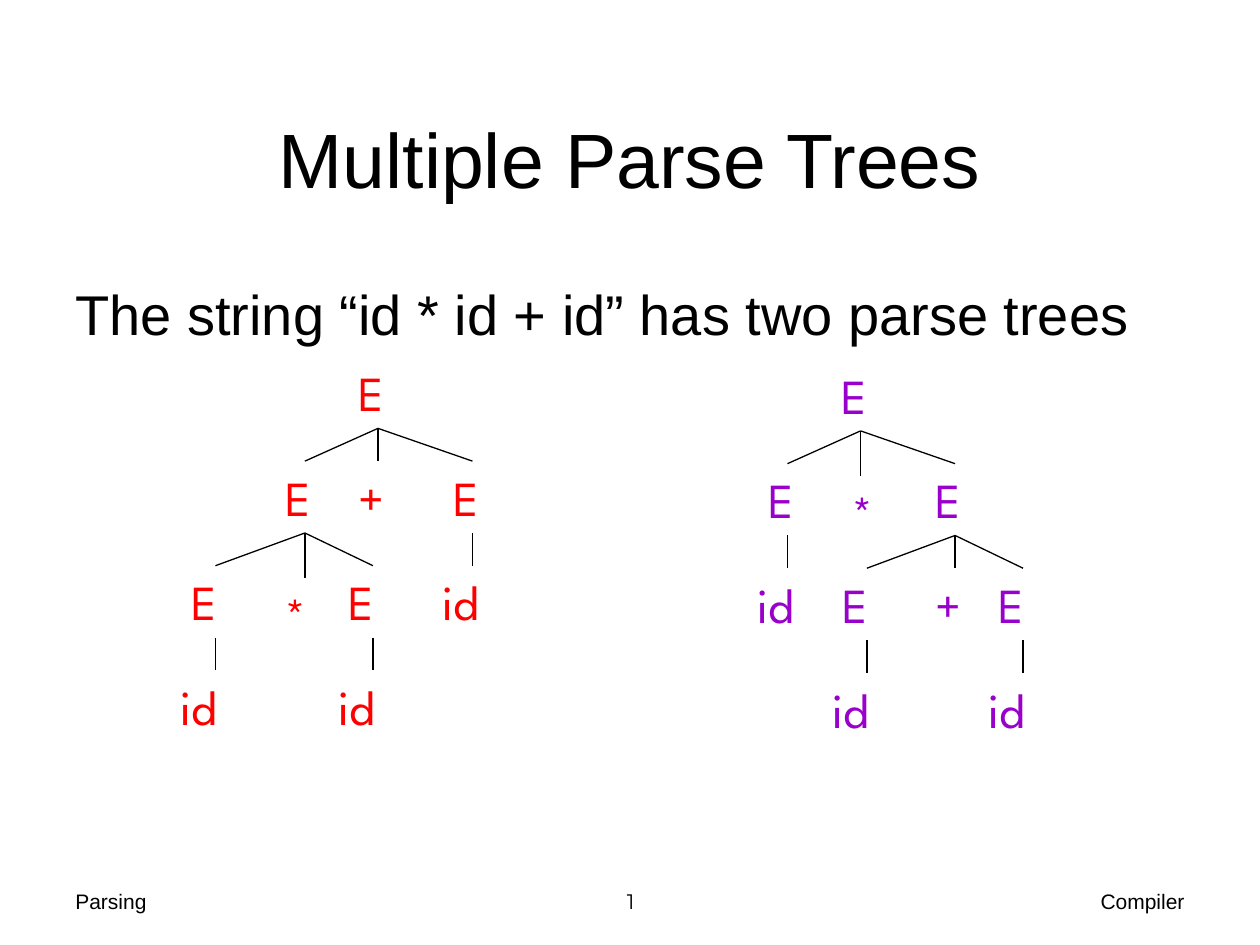
from lxml.etree import SubElement
from pptx import Presentation
from pptx.dml.color import RGBColor
from pptx.enum.shapes import MSO_CONNECTOR
from pptx.enum.text import MSO_ANCHOR, MSO_AUTO_SIZE, PP_ALIGN
from pptx.oxml.ns import qn
from pptx.util import Inches, Pt

LEVEL_STEP = 0.83
STAR_DROP = 0.1
NODE_HEIGHT = 0.57

PLUS_FIRST = ("E", 3, 0.5, [
    ("E", 2.42, 0.5, [
        ("E", 1.71, 0.58, [("id", 1.71, 0.75, [])]),
        ("*", 2.42, 0.5, []),
        ("E", 2.96, 0.58, [("id", 2.96, 0.75, [])]),
    ]),
    ("+", 3, 0.5, []),
    ("E", 3.75, 0.5, [("id", 3.75, 0.67, [])]),
])
STAR_FIRST = ("E", 6.83, 0.5, [
    ("E", 6.25, 0.5, [("id", 6.25, 0.67, [])]),
    ("*", 6.83, 0.33, []),
    ("E", 7.58, 0.5, [
        ("E", 6.88, 0.58, [("id", 6.88, 0.75, [])]),
        ("+", 7.58, 0.5, []),
        ("E", 8.12, 0.58, [("id", 8.12, 0.75, [])]),
    ]),
])


def color(value):
    """Turn a hex string into a colour."""
    return RGBColor.from_string(value)


class TreeSlide:
    """Holds the text and line style and the slide being built."""

    black = "000000"
    text_font = "Arial"
    node_font = "League Spartan"
    number_font = "Montserrat"

    def __init__(self, presentation):
        """Add a title-only slide."""
        self.slide = presentation.slides.add_slide(presentation.slide_layouts[5])

    def fill_text(self, shape, text, size, font, ink, align=PP_ALIGN.LEFT,
                  anchor=MSO_ANCHOR.TOP, before=0):
        """Put one formatted paragraph in a shape and return it."""
        frame = shape.text_frame
        frame.word_wrap = True
        frame.vertical_anchor = anchor
        paragraph = frame.paragraphs[0]
        paragraph.alignment = align
        if before:
            spacing = SubElement(paragraph._p.get_or_add_pPr(), qn("a:spcBef"))
            SubElement(spacing, qn("a:spcPct")).set("val", str(before * 1000))
        run = paragraph.add_run()
        run.text = text
        for name, value in {"size": Pt(size), "name": font}.items():
            setattr(run.font, name, value)
        run.font.color.rgb = color(ink)
        return paragraph

    def title(self, text):
        """Place and fill the title."""
        shape = self.slide.shapes.title
        place = {"left": 0.5, "top": 0.5, "width": 9, "height": 1.5}
        for name, value in place.items():
            setattr(shape, name, Inches(value))
        self.fill_text(shape, text, 44, self.text_font, self.black,
                       PP_ALIGN.CENTER, MSO_ANCHOR.MIDDLE)

    def body(self, text):
        """Add the statement with its hanging indent."""
        shape = self.slide.shapes.add_textbox(
            Inches(0.5), Inches(2.17), Inches(9), Inches(4.59))
        paragraph = self.fill_text(shape, text, 32, self.text_font, self.black, before=20)
        for name, value in {"marL": 0.38, "indent": -0.38}.items():
            paragraph._p.get_or_add_pPr().set(name, str(Inches(value)))

    def footer(self, text, left, width, align, font=text_font):
        """Add one part of the footer."""
        shape = self.slide.shapes.add_textbox(
            Inches(left), Inches(6.95), Inches(width), Inches(0.4))
        self.fill_text(shape, text, 12, font, self.black, align, MSO_ANCHOR.MIDDLE)

    def branch(self, group, parent, child):
        """Join the bottom of a parent to the top of its child."""
        line = group.shapes.add_connector(
            MSO_CONNECTOR.STRAIGHT,
            parent.left + parent.width // 2, parent.top + parent.height,
            child.left + child.width // 2, child.top)
        line.begin_connect(parent, 2)
        line.end_connect(child, 0)
        line.line.color.rgb = color(self.black)
        line.line.width = Pt(0.75)
        SubElement(line._element.spPr, qn("a:effectLst"))

    def node(self, group, tree, top, ink):
        """Add a node with all its descendants and return its shape."""
        text, center, width, children = tree
        drop = STAR_DROP if text == "*" else 0
        shape = group.shapes.add_textbox(
            Inches(center - width / 2), Inches(top + drop),
            Inches(width), Inches(NODE_HEIGHT))
        self.fill_text(shape, text, 28, self.node_font, ink, before=50)
        shape.text_frame.auto_size = MSO_AUTO_SIZE.SHAPE_TO_FIT_TEXT
        for child in children:
            self.branch(group, shape, self.node(group, child, top + LEVEL_STEP, ink))
        return shape

    def tree(self, root, top, ink):
        """Add a whole parse tree as one group."""
        self.node(self.slide.shapes.add_group_shape(), root, top, ink)


def main():
    """Build and save the slide."""
    presentation = Presentation()
    presentation.slide_width = Inches(10)
    presentation.slide_height = Inches(7.5)
    page = TreeSlide(presentation)
    page.footer("Parsing", 0.5, 2.33, PP_ALIGN.LEFT)
    page.footer("1", 3.42, 3.17, PP_ALIGN.CENTER, page.number_font)
    page.footer("Compiler", 7.17, 2.33, PP_ALIGN.RIGHT)
    page.title("Multiple Parse Trees")
    page.body("The string “id * id + id” has two parse trees")
    page.tree(STAR_FIRST, 2.85, "9900CC")
    page.tree(PLUS_FIRST, 2.83, "FF0000")
    presentation.save("out.pptx")


if __name__ == "__main__":
    main()
